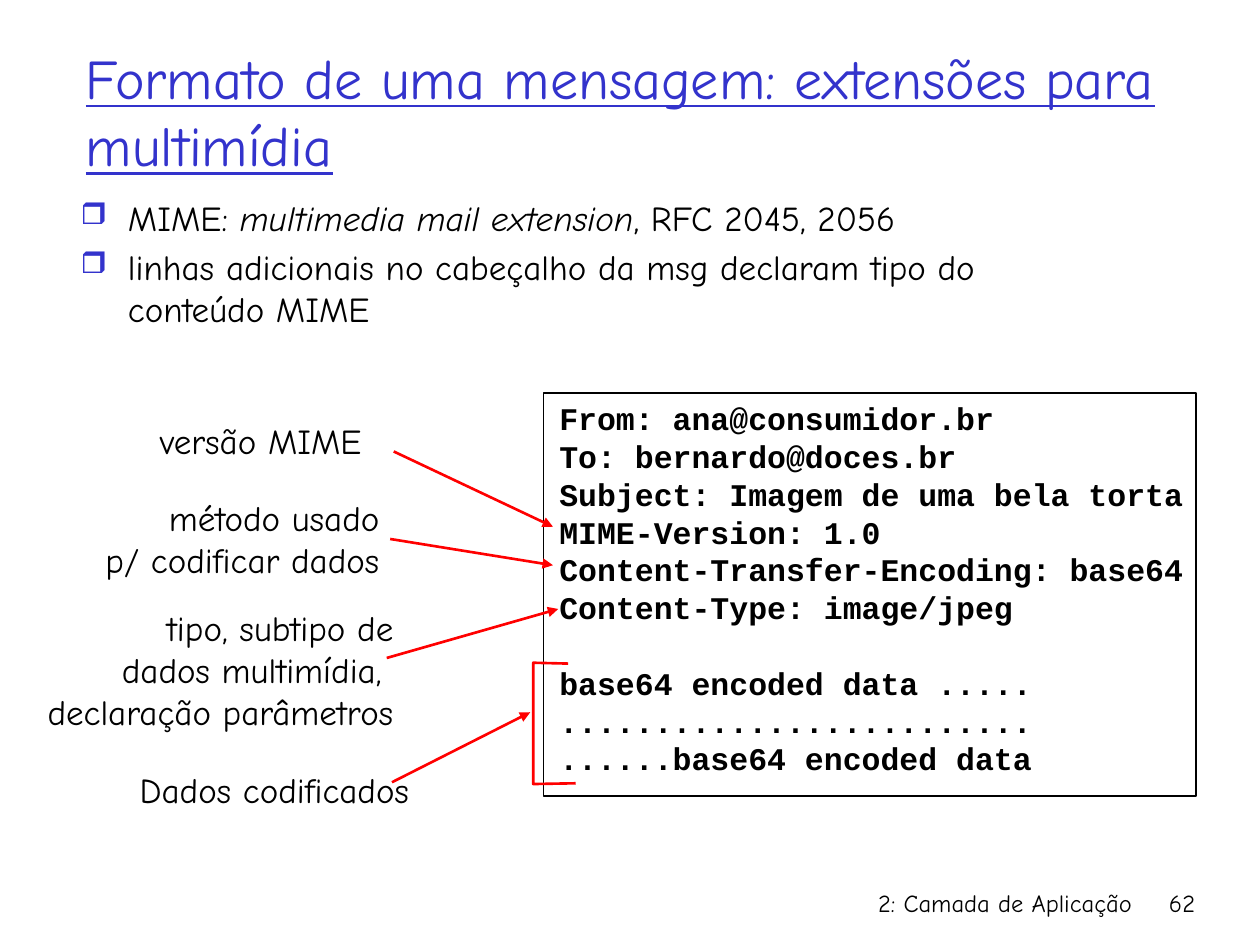
from lxml.etree import SubElement
from pptx import Presentation
from pptx.dml.color import RGBColor
from pptx.enum.shapes import MSO_CONNECTOR as Connector, MSO_SHAPE as Shape
from pptx.enum.text import MSO_ANCHOR as Anchor, PP_ALIGN as Align
from pptx.oxml.ns import qn
from pptx.util import Pt

BLACK = RGBColor(0, 0, 0)
BLUE = RGBColor(0x33, 0x33, 0xCC)
RED = RGBColor(0xFF, 0, 0)
BODY_FONT = "Comic Neue"
CODE_FONT = "Courier New"
CODE_LEADING = 21.6


class SlideWriter:
    def __init__(self, slide):
        self.slide = slide
        self.base = {"name": BODY_FONT, "size": Pt(20)}

    def apply(self, font, color=BLACK, **values):
        for key, value in {**self.base, **values}.items():
            setattr(font, key, value)
        font.color.rgb = color

    def text(self, box, lines, align=Align.LEFT, anchor=Anchor.TOP,
             wrap=True, leading=None, **style):
        frame = self.slide.shapes.add_textbox(*map(Pt, box)).text_frame
        frame.word_wrap = wrap
        frame.vertical_anchor = anchor
        for index, line in enumerate(lines):
            paragraph = frame.paragraphs[0] if index == 0 else frame.add_paragraph()
            paragraph.text = line
            paragraph.alignment = align
            if leading:
                paragraph.line_spacing = Pt(leading)
            for run in paragraph.runs:
                self.apply(run.font, **style)
        return frame

    def bullets(self, box, items, indent=27):
        frame = self.slide.shapes.add_textbox(*map(Pt, box)).text_frame
        frame.word_wrap = True
        for index, runs in enumerate(items):
            paragraph = frame.paragraphs[0] if index == 0 else frame.add_paragraph()
            if index:
                paragraph.space_before = Pt(4)
            props = paragraph._p.get_or_add_pPr()
            props.set("marL", str(Pt(indent)))
            props.set("indent", str(-Pt(indent)))
            bullet_color = SubElement(props, qn("a:buClr"))
            SubElement(bullet_color, qn("a:srgbClr"), val=str(BLUE))
            SubElement(props, qn("a:buSzPct"), val="85000")
            SubElement(props, qn("a:buChar"), char="❒")
            for content, italic in runs:
                run = paragraph.add_run()
                run.text = content
                self.apply(run.font, italic=italic)

    def outline(self, shape, color, width):
        shape.shadow.inherit = False
        shape.fill.background()
        shape.line.color.rgb = color
        shape.line.width = Pt(width)

    def frame(self, box):
        shape = self.slide.shapes.add_shape(Shape.RECTANGLE, *map(Pt, box))
        self.outline(shape, BLACK, 1)

    def bracket(self, points):
        start, *rest = [(Pt(x), Pt(y)) for x, y in points]
        builder = self.slide.shapes.build_freeform(*start)
        builder.add_line_segments(rest, close=False)
        self.outline(builder.convert_to_shape(), RED, 1.5)

    def arrow(self, *ends):
        line = self.slide.shapes.add_connector(Connector.STRAIGHT, *map(Pt, ends))
        line.line.color.rgb = RED
        line.line.width = Pt(1.5)
        SubElement(line.line._get_or_add_ln(), qn("a:tailEnd"), type="triangle")
        SubElement(line._element.spPr, qn("a:effectLst"))


def main():
    deck = Presentation()
    deck.slide_width, deck.slide_height = Pt(720), Pt(540)
    writer = SlideWriter(deck.slides.add_slide(deck.slide_layouts[6]))

    for left, width, footer in ((426, 228, "2: Camada de Aplicação"), (654, 36, "62")):
        writer.text((left, 504, width, 36), [footer], Align.RIGHT, size=Pt(14))

    writer.text((42, 18, 660, 90), ["Formato de uma mensagem: extensões para multimídia"],
                anchor=Anchor.MIDDLE, size=Pt(32), underline=True, color=BLUE)
    writer.bullets((39, 109, 577, 366), [
        [("MIME: ", False), ("multimedia mail extension", True), (", RFC 2045, 2056", False)],
        [("linhas adicionais no cabeçalho da msg declaram tipo do conteúdo MIME", False)],
    ])

    headers = ["From: ana@consumidor.br", "To: bernardo@doces.br",
               "Subject: Imagem de uma bela torta", "MIME-Version: 1.0",
               "Content-Transfer-Encoding: base64", "Content-Type: image/jpeg"]
    content = ["base64 encoded data .....", ".........................",
               "......base64 encoded data"]
    message = writer.text((312.5, 224.6, 391.5, 245), headers + content, leading=CODE_LEADING,
                          name=CODE_FONT, size=Pt(18), bold=True)
    message.paragraphs[len(headers)].space_before = Pt(CODE_LEADING)
    writer.frame((310.5, 224.6, 373, 230.4))

    labels = (
        ((5, 343, 227, 79), ["tipo, subtipo de\vdados multimídia, ", "declaração parâmetros"],
         Align.RIGHT),
        ((38, 280, 186, 55), ["método usado", "p/ codificar dados"], Align.RIGHT),
        ((79, 236, 140, 31), ["versão MIME"], Align.CENTER),
        ((65, 435.6, 183.6, 31), ["Dados codificados"], Align.CENTER),
    )
    for box, lines, align in labels:
        writer.text(box, lines, align, wrap=False)

    for ends in ((225, 258, 316, 301), (223, 308, 316, 323),
                 (221, 376, 319, 348), (224, 447, 303, 407)):
        writer.arrow(*ends)
    writer.bracket([(324.7, 379.2), (304.7, 378.7), (304.7, 448), (329, 447.6)])

    deck.save("out.pptx")


if __name__ == "__main__":
    main()
